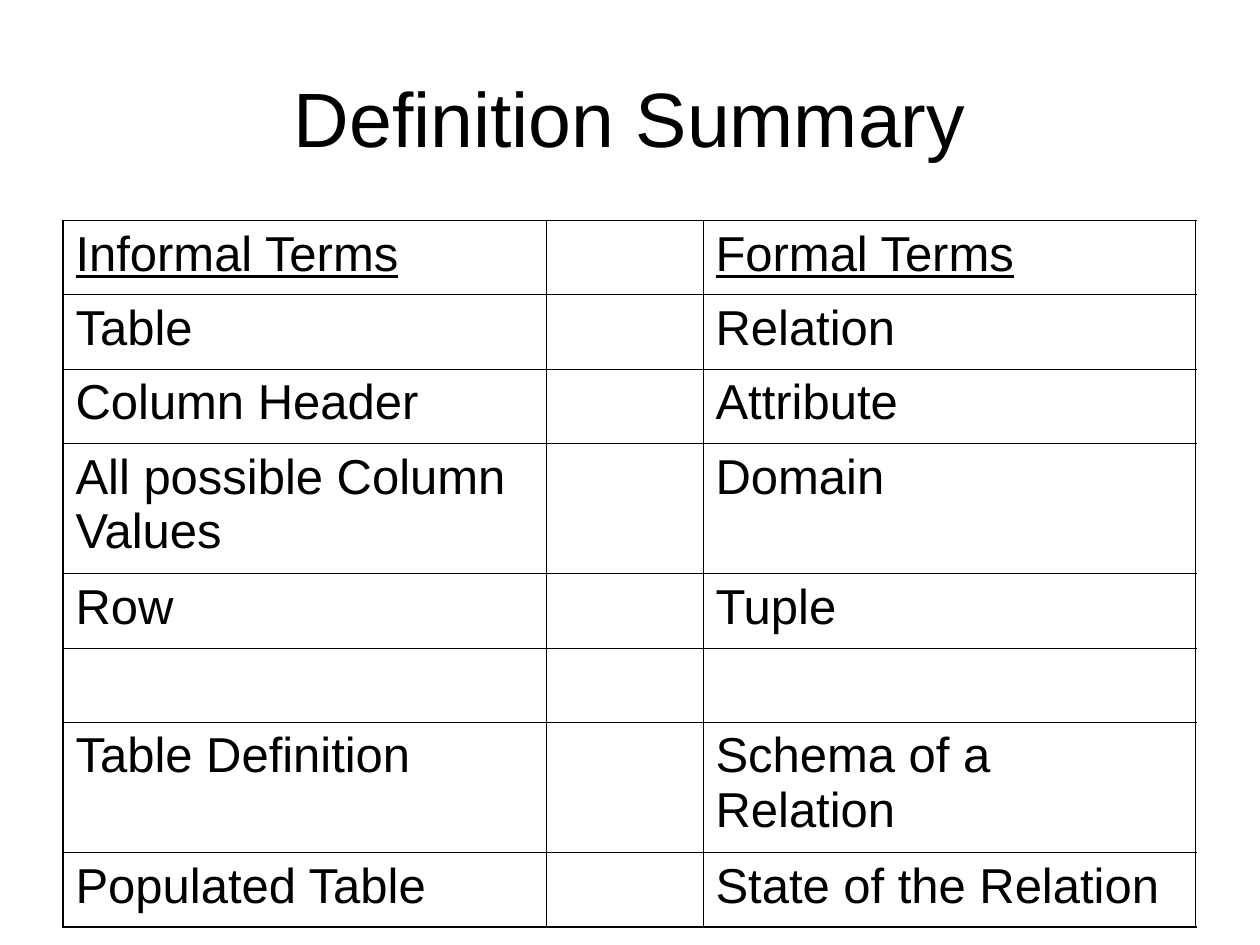
from typing import NamedTuple

from lxml.etree import SubElement as Sub
from pptx import Presentation
from pptx.dml.color import RGBColor
from pptx.enum.text import MSO_ANCHOR as Anchor, PP_ALIGN as Align
from pptx.oxml.ns import qn
from pptx.util import Inches, Pt

BLACK = RGBColor(0, 0, 0)
FONT = "Arial"
THIN, THICK = Pt(0.45), Pt(1.08)
WIDE, HIGH = Inches(10), Inches(7.5)
LEFT, SPAN = 0.05, 0.9  # shares of the slide width
COLS = (3.84, 1.24, 3.91)
ROW, TALL = 0.59, 1.03


class Term(NamedTuple):
    plain: str
    formal: str
    high: float = ROW


TERMS = (
    Term("Informal Terms", "Formal Terms"),
    Term("Table", "Relation"),
    Term("Column Header", "Attribute"),
    Term("All possible Column Values", "Domain", TALL),
    Term("Row", "Tuple"),
    Term("", ""),
    Term("Table Definition", "Schema of a Relation", TALL),
    Term("Populated Table", "State of the Relation"),
)


def style(para, size: int) -> None:
    font = para.font
    font.name, font.size = FONT, Pt(size)
    font.color.rgb = BLACK


def edge(cell, side: str, width: int) -> None:
    line = Sub(cell._tc.get_or_add_tcPr(), qn(f"a:ln{side}"), w=str(width))
    fill = Sub(line, qn("a:solidFill"))
    Sub(fill, qn("a:srgbClr"), val=str(BLACK))


def draw_title(slide, text: str) -> None:
    box = slide.shapes.add_textbox(
        int(WIDE * LEFT), int(HIGH * 0.04), int(WIDE * SPAN), Inches(1.25))
    frame = box.text_frame
    frame.word_wrap = True
    frame.vertical_anchor = Anchor.MIDDLE
    para = frame.paragraphs[0]
    para.text, para.alignment = text, Align.CENTER
    style(para, 44)


def draw_cell(cell, text: str, head: bool) -> None:
    para = cell.text_frame.paragraphs[0]
    para.text = text
    style(para, 28)
    if text:
        para.space_before = Pt(7)
    if head and text:
        para.font.underline = True


def draw_table(slide, terms: tuple[Term, ...]) -> None:
    rows, cols = len(terms), len(COLS)
    table = slide.shapes.add_table(
        rows, cols, int(WIDE * LEFT), Inches(1.75), int(WIDE * SPAN),
        Inches(sum(term.high for term in terms))).table
    table.first_row = table.horz_banding = False
    for col, width in zip(table.columns, COLS):
        col.width = Inches(width)
    for y, term in enumerate(terms):
        table.rows[y].height = Inches(term.high)
        for x, text in enumerate((term.plain, "", term.formal)):
            cell = table.cell(y, x)
            draw_cell(cell, text, y == 0)
            # The outer frame is thicker than the inner rules
            outer = {"L": x == 0, "R": x == cols - 1,
                     "T": y == 0, "B": y == rows - 1}
            for side, thick in outer.items():
                edge(cell, side, THICK if thick else THIN)
            cell.fill.background()


def main() -> None:
    deck = Presentation()
    deck.slide_width, deck.slide_height = WIDE, HIGH
    slide = deck.slides.add_slide(deck.slide_layouts[6])
    draw_title(slide, "Definition Summary")
    draw_table(slide, TERMS)
    deck.save("out.pptx")


if __name__ == "__main__":
    main()
